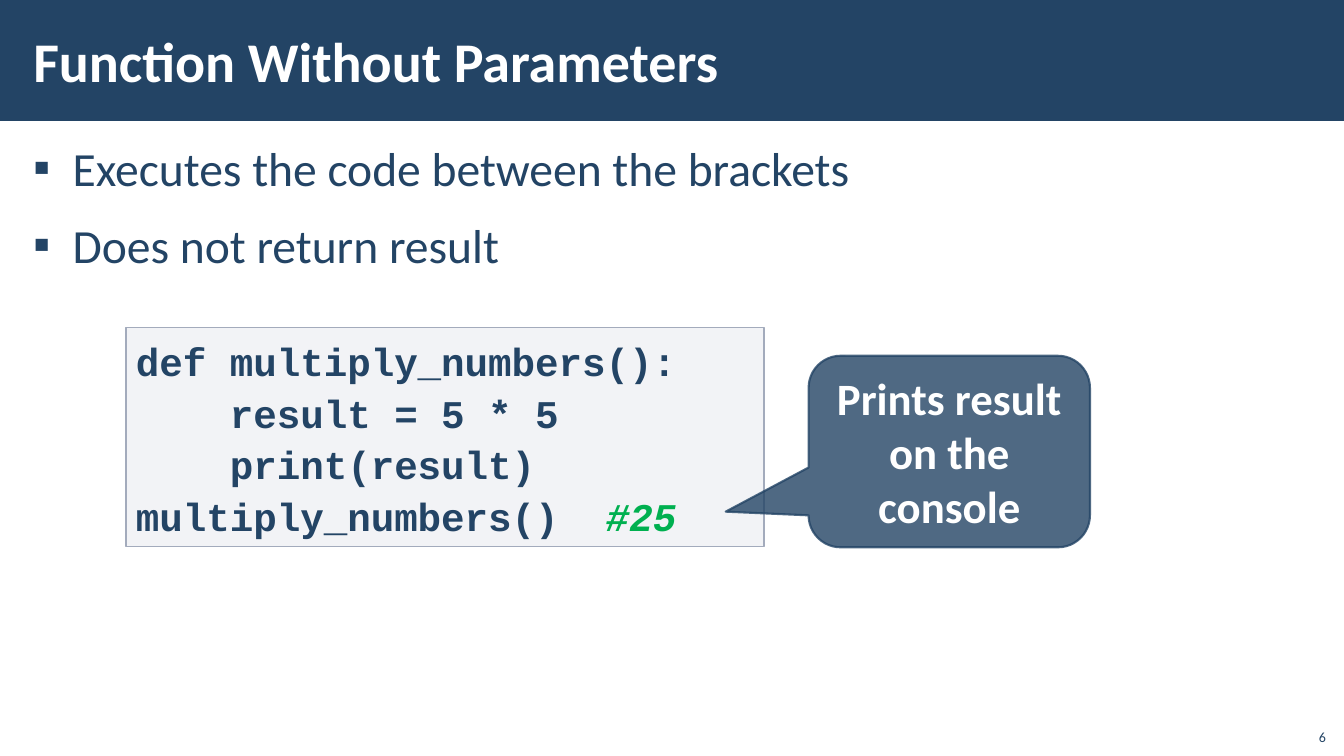
from lxml.etree import SubElement
from pptx import Presentation
from pptx.dml.color import RGBColor
from pptx.enum.shapes import MSO_SHAPE as Shape
from pptx.enum.text import MSO_ANCHOR as Anchor, PP_ALIGN as Align
from pptx.oxml.ns import qn
from pptx.util import Inches, Pt

NAVY, WHITE, GREEN = "234465", "FFFFFF", "00B050"
PALE, EDGE = "C2C7D2", "A3ABBC"

BODY = dict(name="Calibri", size=Pt(34), bold=False)
TITLE = dict(name="Calibri", size=Pt(40), bold=True)
CODE = dict(name="Courier New", size=Pt(28), bold=True)
CALLOUT = dict(name="Calibri", size=Pt(32), bold=True)
NUMBER = dict(name="Calibri", size=Pt(10), bold=False)

BULLETS = ["Executes the code between the brackets", "Does not return result"]
CODE_LINES = [
    [("def multiply_numbers():", NAVY)],
    [("    result = 5 * 5", NAVY)],
    [("    print(result)", NAVY)],
    [("multiply_numbers()  ", NAVY), ("#25", GREEN)],
]


def set_all(target, values):
    for name, value in values.items():
        setattr(target, name, value)


def paint(color_format, color, opacity=100):
    color_format.rgb = RGBColor.from_string(color)
    if opacity < 100:
        for node in color_format._xFill.iter(qn("a:srgbClr")):
            SubElement(node, qn("a:alpha"), val=str(opacity * 1000))


def place(box, left, top, width, height):
    set_all(box, dict(left=Inches(left), top=Inches(top),
                      width=Inches(width), height=Inches(height)))


def write(box, lines, font, anchor=Anchor.TOP, margins=(0.1, 0.05), **para_format):
    """Each line is a list of (text, color) spans."""
    side, edge = (Inches(margin) for margin in margins)
    frame = box.text_frame
    set_all(frame, dict(word_wrap=True, vertical_anchor=anchor, margin_left=side,
                        margin_right=side, margin_top=edge, margin_bottom=edge))
    for index, spans in enumerate(lines):
        para = frame.add_paragraph() if index else frame.paragraphs[0]
        set_all(para, para_format)
        for text, color in spans:
            span = para.add_run()
            span.text = text
            set_all(span.font, font)
            span.font.italic = color == GREEN
            span.font.fill.solid()
            paint(span.font.color, color)


def add_bullets(box, indent):
    for para in box.text_frame.paragraphs:
        props = para._p.get_or_add_pPr()
        props.set("marL", str(Inches(indent)))
        props.set("indent", str(-Inches(indent)))
        SubElement(props, qn("a:buFont"), typeface="Wingdings")
        props[-1].set("typeface", "Calibri")
        SubElement(props, qn("a:buChar"), char="▪")


def add_text(page, at, *args, **kwargs):
    box = page.shapes.add_textbox(*map(Inches, at))
    write(box, *args, **kwargs)
    return box


def add_panel(page, kind, at, fill, opacity=100, line=None, line_width=1, line_opacity=100):
    panel = page.shapes.add_shape(kind, *map(Inches, at))
    panel.shadow.inherit = False
    panel.fill.solid()
    paint(panel.fill.fore_color, fill, opacity)
    if line:
        panel.line.width = Pt(line_width)
        panel.line.fill.solid()
        paint(panel.line.color, line, line_opacity)
    else:
        panel.line.fill.background()
    return panel


def main():
    deck = Presentation()
    deck.slide_width, deck.slide_height = Inches(13.33), Inches(7.5)
    page = deck.slides.add_slide(deck.slide_layouts[5])

    # Title on its band
    band = add_panel(page, Shape.RECTANGLE, (0, 0, 13.33, 1.2), NAVY)
    title = page.shapes.title
    title._element.addprevious(band._element)
    place(title, 0.21, 0.11, 10.63, 0.97)
    write(title, [[("Function Without Parameters", WHITE)]], TITLE, Anchor.MIDDLE,
          (0.12, 0.04), alignment=Align.LEFT)

    # Bullet list
    bullets = add_text(page, (0.21, 1.31, 12.92, 6.05), [[(text, NAVY)] for text in BULLETS],
                       BODY, margins=(0.12, 0.04), line_spacing=1.05,
                       space_before=Pt(6), space_after=Pt(6))
    add_bullets(bullets, 0.39)

    # Code sample
    code = add_panel(page, Shape.RECTANGLE, (1.25, 3.25, 6.33, 2.17), PALE, 20, EDGE)
    write(code, CODE_LINES, CODE, line_spacing=1.1, alignment=Align.LEFT)

    # Callout pointing at the function call
    callout = add_panel(page, Shape.ROUNDED_RECTANGULAR_CALLOUT, (8.02, 3.53, 2.79, 1.9),
                        NAVY, 80, NAVY, 1.5, 80)
    for index, value in enumerate((-0.795, 0.314, 0.167)):
        callout.adjustments[index] = value
    write(callout, [[("Prints result on the console", WHITE)]], CALLOUT, Anchor.MIDDLE,
          alignment=Align.CENTER)

    # Slide number
    add_text(page, (12.85, 7.12, 0.4, 0.32), [[("6", NAVY)]], NUMBER, Anchor.BOTTOM,
             alignment=Align.RIGHT)

    deck.save("out.pptx")


if __name__ == "__main__":
    main()
